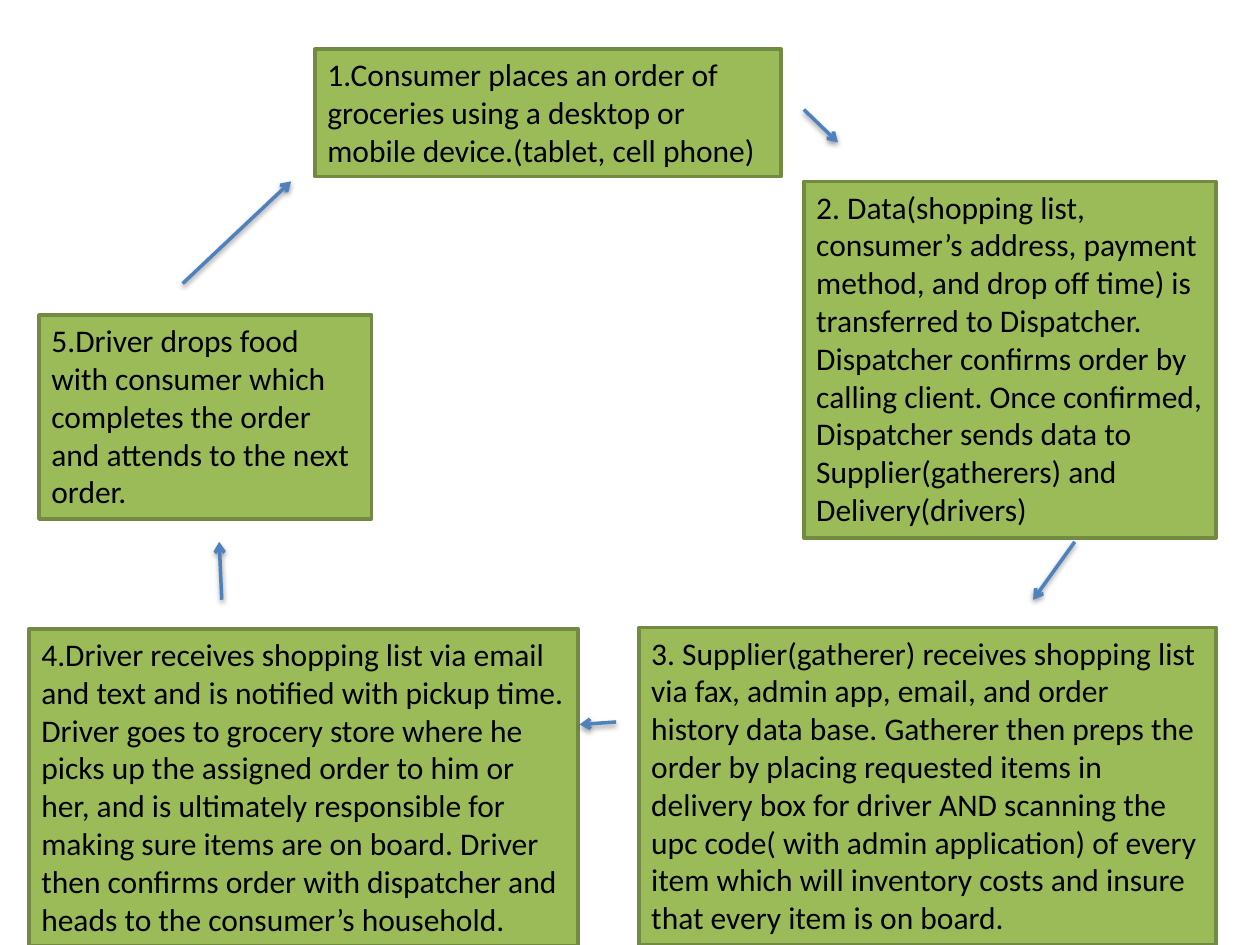
"""Build a slide showing the five-step grocery delivery cycle."""
from lxml import etree
from pptx import Presentation
from pptx.dml.color import RGBColor
from pptx.enum.shapes import MSO_CONNECTOR, MSO_SHAPE
from pptx.enum.text import MSO_ANCHOR, MSO_AUTO_SIZE, PP_ALIGN
from pptx.oxml import parse_xml
from pptx.oxml.ns import qn
from pptx.util import Inches, Pt

RECTANGLE = MSO_SHAPE.RECTANGLE
STRAIGHT = MSO_CONNECTOR.STRAIGHT
TOP, LEFT, GROW = MSO_ANCHOR.TOP, PP_ALIGN.LEFT, MSO_AUTO_SIZE.SHAPE_TO_FIT_TEXT

STEPS = [
    ((2.5, 0.39, 3.7, 1.01),
     "1.Consumer places an order of groceries using a desktop or mobile "
     "device.(tablet, cell phone)"),
    ((6.38, 1.44, 3.27, 2.83),
     "2. Data(shopping list, consumer’s address, payment method, and drop off "
     "time) is transferred to Dispatcher. Dispatcher confirms order by calling "
     "client. Once confirmed, Dispatcher sends data to Supplier(gatherers) and "
     "Delivery(drivers)"),
    ((5.07, 4.98, 4.58, 2.52),
     "3. Supplier(gatherer) receives shopping list via fax, admin app, email, "
     "and order history data base. Gatherer then preps the order by placing "
     "requested items in delivery box for driver AND scanning the upc code( "
     "with admin application) of every item which will inventory costs and "
     "insure that every item is on board."),
    ((0.23, 4.99, 4.36, 2.52),
     "4.Driver receives shopping list via email and text and is notified with "
     "pickup time. Driver goes to grocery store where he picks up the assigned "
     "order to him or her, and is ultimately responsible for making sure items "
     "are on board. Driver then confirms order with dispatcher and heads to "
     "the consumer’s household."),
    ((0.31, 2.5, 2.64, 1.62),
     "5.Driver drops food with consumer which completes the order and attends "
     "to the next order."),
]
ARROWS = [
    (6.38, 0.87, 6.65, 1.13),
    (8.53, 4.3, 8.2, 4.76),
    (4.89, 5.73, 4.6, 5.75),
    (1.76, 4.76, 1.74, 4.3),
    (1.45, 2.25, 2.31, 1.44),
]
SHADOW = (
    '<a:effectLst xmlns:a="http://schemas.openxmlformats.org/drawingml/2006/main">'
    f'<a:outerShdw blurRad="{Pt(3.1)}" dist="{Pt(1.6)}" dir="5400000" rotWithShape="0">'
    '<a:srgbClr val="000000"><a:alpha val="38000"/></a:srgbClr>'
    '</a:outerShdw></a:effectLst>'
)


def color(value):
    return RGBColor.from_string(value)


def add_step(slide, box, text):
    shape = slide.shapes.add_shape(RECTANGLE, *map(Inches, box))
    shape.shadow.inherit = False
    shape.fill.solid()
    shape.fill.fore_color.rgb = color("9BBB59")
    shape.line.color.rgb = color("738A42")
    shape.line.width = Pt(2)
    frame = shape.text_frame
    frame.text = text
    frame.word_wrap = True
    frame.auto_size = GROW
    frame.vertical_anchor = TOP
    paragraph = frame.paragraphs[0]
    paragraph.alignment = LEFT
    font = paragraph.runs[0].font
    font.name = "Calibri"
    font.size = Pt(18)
    font.color.rgb = color("000000")


def add_arrow(slide, ends):
    connector = slide.shapes.add_connector(STRAIGHT, *map(Inches, ends))
    connector.line.color.rgb = color("4F81BD")
    connector.line.width = Pt(2)
    properties = connector._element.spPr
    etree.SubElement(properties.find(qn("a:ln")), qn("a:tailEnd"), type="arrow")
    properties.append(parse_xml(SHADOW))


def main():
    presentation = Presentation()
    presentation.slide_width = Inches(10)
    presentation.slide_height = Inches(7.5)
    slide = presentation.slides.add_slide(presentation.slide_layouts[6])
    for box, text in STEPS:
        add_step(slide, box, text)
    for ends in ARROWS:
        add_arrow(slide, ends)
    presentation.save("out.pptx")


if __name__ == "__main__":
    main()
